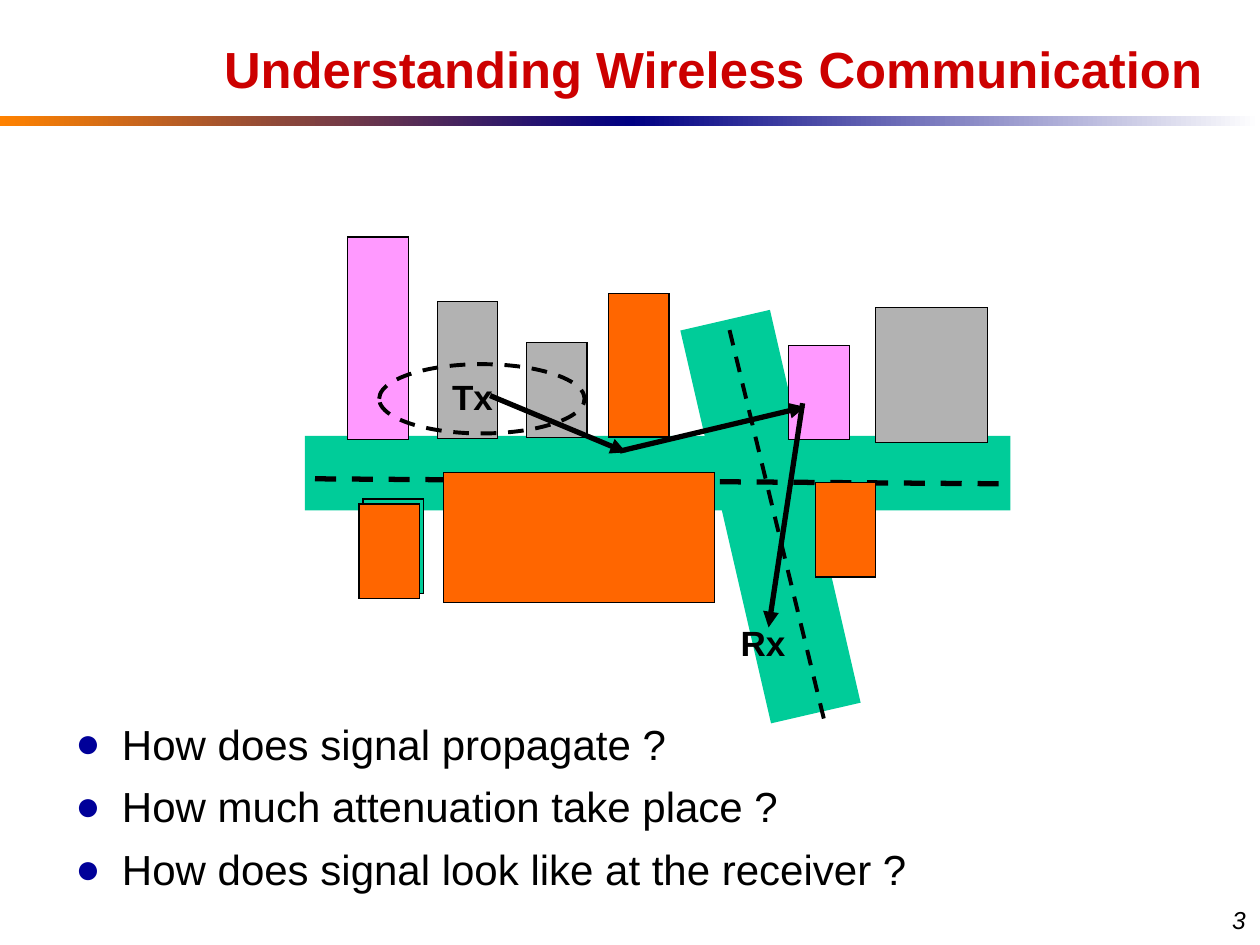
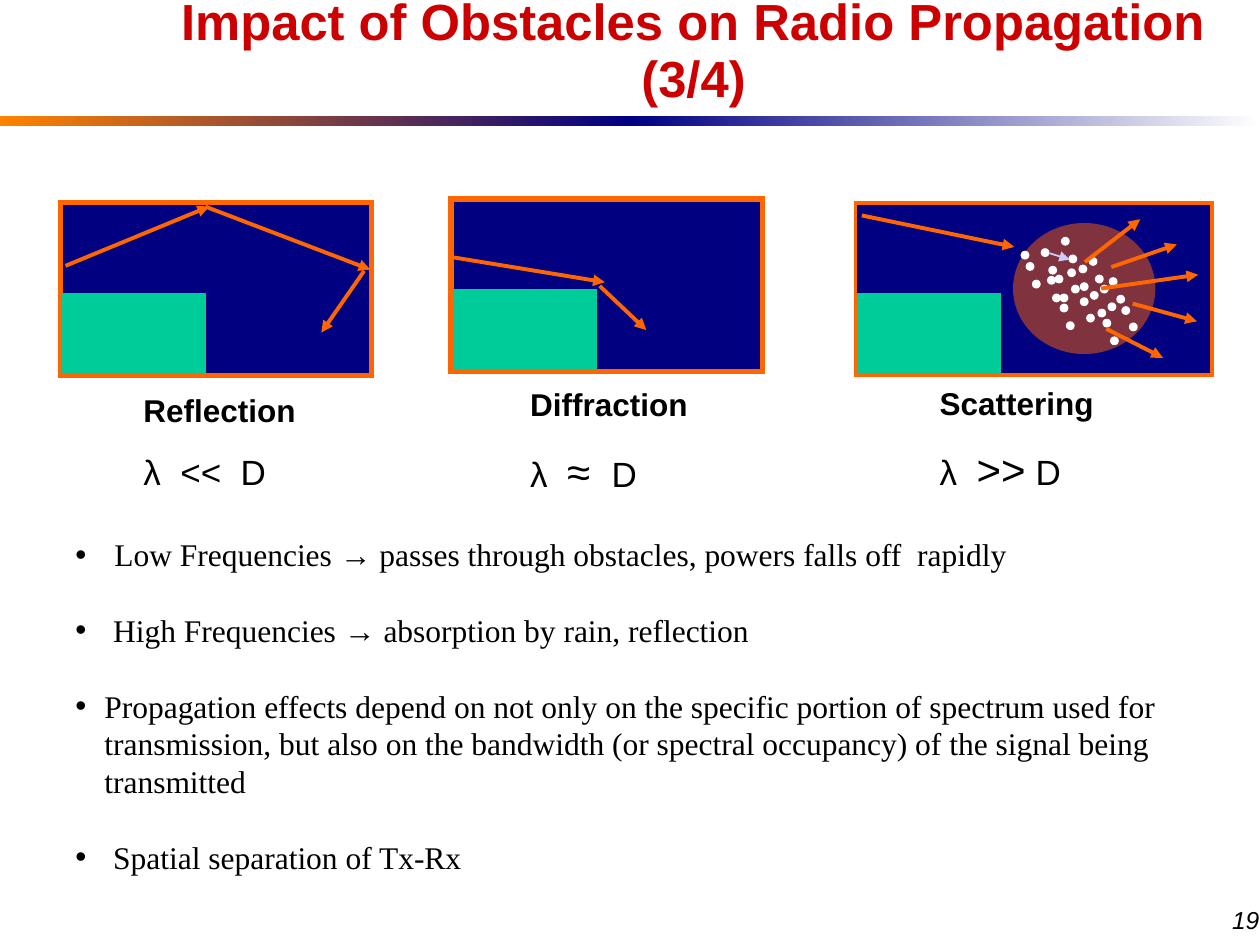
from dataclasses import dataclass

from lxml.etree import SubElement
from pptx import Presentation
from pptx.dml.color import RGBColor
from pptx.enum.dml import MSO_LINE
from pptx.enum.shapes import MSO_CONNECTOR, MSO_SHAPE
from pptx.enum.text import MSO_ANCHOR, PP_ALIGN
from pptx.oxml.ns import qn
from pptx.util import Inches, Pt


@dataclass(frozen=True)
class Theme:
    sans: str = "Arial"
    serif: str = "Times New Roman"
    title_size: int = 29
    body_size: int = 24
    label_size: int = 20
    note_size: int = 18
    number_size: int = 14
    title: str = "CC0000"
    black: str = "000000"
    white: str = "FFFFFF"
    bullet: str = "000099"
    band_start: str = "FF8200"
    band_middle: str = "000082"
    orange: str = "FF6600"
    green: str = "00CC99"
    gray: str = "B2B2B2"
    pink: str = "FF99FF"
    navy: str = "000080"
    lilac: str = "CCCCFF"


T = Theme()


def rgb(color):
    return RGBColor.from_string(color)


def add_run(p, text, size, color=T.black, font=T.sans, bold=False, italic=False):
    r = p.add_run()
    r.text = text
    r.font.name, r.font.size = font, Pt(size)
    r.font.bold, r.font.italic = bold, italic
    r.font.color.rgb = rgb(color)


def set_bullet(p, char, color, indent):
    pPr = p._p.get_or_add_pPr()
    pPr.set("marL", str(Inches(indent)))
    pPr.set("indent", str(-Inches(indent)))
    SubElement(SubElement(pPr, qn("a:buClr")), qn("a:srgbClr"), val=color)
    SubElement(pPr, qn("a:buFont"), typeface=T.sans)
    SubElement(pPr, qn("a:buChar"), char=char)


@dataclass
class Region:
    """Part of a slide; everything added is measured from its top left corner."""
    slide: object
    left: float = 0
    top: float = 0

    def point(self, x, y):
        return Inches(self.left + x), Inches(self.top + y)

    def shape(self, x, y, w, h, fill=None, line=None, weight=0.75,
              kind=MSO_SHAPE.RECTANGLE):
        sp = self.slide.shapes.add_shape(kind, *self.point(x, y), Inches(w), Inches(h))
        sp.shadow.inherit = False
        if fill:
            sp.fill.solid()
            sp.fill.fore_color.rgb = rgb(fill)
        else:
            sp.fill.background()
        if line:
            sp.line.color.rgb = rgb(line)
            sp.line.width = Pt(weight)
            SubElement(sp.line._get_or_add_ln(), qn("a:miter"), lim="800000")
        else:
            sp.line.fill.background()
        return sp

    def line(self, start, end, color, weight, dash=False, arrow=False):
        c = self.slide.shapes.add_connector(
            MSO_CONNECTOR.STRAIGHT, *self.point(*start), *self.point(*end))
        c.line.color.rgb = rgb(color)
        c.line.width = Pt(weight)
        if dash:
            c.line.dash_style = MSO_LINE.DASH
        if arrow:
            SubElement(c.line._get_or_add_ln(), qn("a:tailEnd"), type="triangle")
        SubElement(c._element.spPr, qn("a:effectLst"))

    def arrows(self, ends, color=T.orange, weight=2.25):
        for start, end in ends:
            self.line(start, end, color, weight, arrow=True)

    def text(self, x, y, w, h, wrap=True):
        box = self.slide.shapes.add_textbox(*self.point(x, y), Inches(w), Inches(h))
        box.text_frame.word_wrap = wrap
        return box.text_frame


def paragraphs(tf, count):
    return [tf.paragraphs[0]] + [tf.add_paragraph() for _ in range(count - 1)]


def add_base_slide(prs, title, title_box, number, line_spacing=None):
    """Blank slide with the gradient band, title and slide number."""
    s = prs.slides.add_slide(prs.slide_layouts[6])
    page = Region(s)
    stops = [T.band_start, T.band_middle, T.white]
    for i, colors in enumerate(zip(stops, stops[1:])):
        band = page.shape(5 * i, 0.92, 5, 0.08)
        band.fill.gradient()
        band.fill.gradient_angle = 0
        for stop, color in zip(band.fill.gradient_stops, colors):
            stop.color.rgb = rgb(color)

    tf = page.text(*title_box)
    tf.vertical_anchor = MSO_ANCHOR.MIDDLE
    p = tf.paragraphs[0]
    p.alignment = PP_ALIGN.CENTER
    if line_spacing:
        p.line_spacing = line_spacing
    add_run(p, title, T.title_size, T.title, bold=True)

    tf = page.text(9.68, 7.13, 0.32, 0.34, wrap=False)
    tf.margin_right = 0
    add_run(tf.paragraphs[0], number, T.number_size, italic=True)
    return s


def add_street_map(s, left, top):
    area = Region(s, left, top)

    def buildings(rows):
        for *box, fill in rows:
            area.shape(*box, fill, T.black)

    area.shape(3.33, 0.62, 0.73, 3.2, T.green).rotation = 347
    area.shape(0, 1.58, 5.6, 0.59, T.green)
    buildings([
        (2.41, 0.45, 0.48, 1.14, T.orange),
        (1.76, 0.84, 0.48, 0.75, T.gray),
        (1.05, 0.51, 0.48, 1.09, T.gray),
        (3.84, 0.86, 0.48, 0.75, T.pink),
        (4.53, 0.56, 0.89, 1.07, T.gray),
        (0.34, 0, 0.48, 1.61, T.pink),
    ])
    area.line((0.08, 1.92), (5.56, 1.96), T.black, 3, dash=True)
    buildings([
        (1.1, 1.87, 2.15, 1.03, T.orange),
        (4.05, 1.95, 0.48, 0.75, T.orange),
        (0.46, 2.08, 0.48, 0.75, T.green),
        (0.43, 2.12, 0.48, 0.75, T.orange),
    ])
    area.line((3.37, 0.74), (4.12, 3.83), T.black, 2.25, dash=True)
    near_zone = area.shape(0.59, 1.01, 1.63, 0.55, None, T.black, 2.25, MSO_SHAPE.OVAL)
    near_zone.line.dash_style = MSO_LINE.DASH

    for label, x, y in [("Tx", 1.07, 1.05), ("Rx", 3.36, 3)]:
        tf = area.text(x, y, 0.7, 0.44, wrap=False)
        add_run(tf.paragraphs[0], label, T.label_size, bold=True)
    area.arrows([
        ((1.47, 1.26), (2.55, 1.71)),
        ((2.5, 1.7), (3.97, 1.35)),
        ((3.95, 1.32), (3.68, 3.1)),
    ], T.black, 3)


def add_questions(s, left, top, w, h, questions):
    tf = Region(s, left, top).text(0, 0, w, h)
    for i, (p, question) in enumerate(zip(paragraphs(tf, len(questions)), questions)):
        set_bullet(p, "●", T.bullet, 0.37)
        if i:
            p.space_before = Pt(7)
        add_run(p, question, T.body_size)


def add_effect_panel(s, left, top, w, weight, name, relation, label_at, rays):
    """Framed scene with an obstacle and rays, captioned below."""
    panel = Region(s, left, top)
    panel.shape(0, 0, w, 1.37, T.navy, T.orange, weight)
    panel.shape(0.02, 0.72, 1.13, 0.62, T.green, T.green, 1)
    panel.arrows(rays)
    heading, formula = paragraphs(panel.text(*label_at, 1.45, 0.95, wrap=False), 2)
    add_run(heading, name, T.note_size, bold=True)
    formula.space_before = Pt(12.5)
    for text, size in relation:
        add_run(formula, text, size)


def add_scatter_cloud(s, left, top):
    cloud = Region(s, left, top)
    disc = cloud.shape(0, 0, 1.13, 1.04, T.orange, kind=MSO_SHAPE.OVAL)
    color = disc._element.spPr.find(qn("a:solidFill"))[0]
    SubElement(color, qn("a:alpha"), val="50000")
    particles = [
        (0.1, 0.31), (0.33, 0.41), (0.53, 0.59), (0.69, 0.49), (0.86, 0.66),
        (0.71, 0.76), (0.37, 0.64), (0.52, 0.33), (0.15, 0.45), (0.37, 0.56),
        (0.58, 0.72), (0.75, 0.63), (0.92, 0.79), (0.77, 0.9), (0.42, 0.78),
        (0.53, 0.47), (0.22, 0.2), (0.43, 0.36), (0.6, 0.27), (0.76, 0.43),
        (0.61, 0.54), (0.27, 0.42), (0.38, 0.11), (0.06, 0.22), (0.28, 0.34),
        (0.46, 0.49), (0.65, 0.41), (0.82, 0.57), (0.67, 0.68), (0.31, 0.56),
        (0.44, 0.25),
    ]
    for x, y in particles:
        cloud.shape(x, y, 0.07, 0.07, T.white, kind=MSO_SHAPE.OVAL)
    cloud.arrows([((0.29, 0.24), (0.45, 0.29))], T.lilac, 1)
    cloud.arrows([
        ((0.57, 0.31), (1.01, -0.03)),
        ((0.7, 0.52), (1.47, 0.41)),
        ((0.74, 0.84), (1.19, 1.07)),
        ((0.78, 0.35), (1.3, 0.17)),
        ((0.95, 0.64), (1.46, 0.78)),
    ])


def add_notes_list(s, left, top, w, h, items):
    """Bulleted serif list; each item is (hanging indent, text)."""
    tf = Region(s, left, top).text(0, 0, w, h)
    for i, (p, (indent, text)) in enumerate(zip(paragraphs(tf, len(items)), items)):
        set_bullet(p, "•", T.black, indent)
        if i:
            p.space_before = Pt(21.6)
        before, arrow, after = text.partition("→")
        for part, font in [(before, T.serif), (arrow, T.sans), (after, T.serif)]:
            if part:
                add_run(p, part, T.note_size, font=font)


def build_wireless_slide(prs):
    s = add_base_slide(prs, "Understanding Wireless Communication",
                       (1.33, 0, 8.67, 1.08), "3")
    add_street_map(s, 2.42, 1.88)
    add_questions(s, 0.5, 5.65, 9, 1.52, [
        "How does signal propagate ?",
        "How much attenuation take place ?",
        "How does signal look like at the receiver ?",
    ])


def build_obstacles_slide(prs):
    s = add_base_slide(prs, "Impact of Obstacles on Radio Propagation (3/4)",
                       (1.17, 0, 8.67, 0.83), "19", line_spacing=0.93)
    small, large = T.label_size, T.body_size
    add_effect_panel(
        s, 0.48, 1.61, 2.47, 3, "Reflection", [("λ  <<  D", small)], (0.56, 1.44),
        [((0.04, 0.5), (1.18, 0.03)), ((1.15, 0.03), (2.46, 0.53)),
         ((2.41, 0.54), (2.07, 1.03))])
    add_effect_panel(
        s, 3.58, 1.58, 2.47, 3, "Diffraction",
        [("λ  ", small), ("≈ ", large), (" D", small)], (0.53, 1.43),
        [((0, 0.46), (1.22, 0.66)), ((1.18, 0.69), (1.55, 1.04))])
    add_effect_panel(
        s, 6.79, 1.61, 2.83, 2.25, "Scattering",
        [("λ  ", small), (">>", large), (" D", small)], (0.57, 1.39),
        [((0.05, 0.1), (1.26, 0.35))])
    add_scatter_cloud(s, 8.04, 1.77)
    add_notes_list(s, 0.5, 4.2, 9.12, 2.84, [
        (0.31, "Low Frequencies → passes through obstacles, powers falls off  rapidly"),
        (0.3, "High Frequencies → absorption by rain, reflection"),
        (0.23, "Propagation effects depend on not only on the specific portion of "
               "spectrum used for transmission, but also on the bandwidth (or spectral "
               "occupancy) of the signal being transmitted"),
        (0.3, "Spatial separation of Tx-Rx"),
    ])


def main():
    prs = Presentation()
    prs.slide_width, prs.slide_height = Inches(10), Inches(7.5)
    build_wireless_slide(prs)
    build_obstacles_slide(prs)
    prs.save("out.pptx")


if __name__ == "__main__":
    main()
